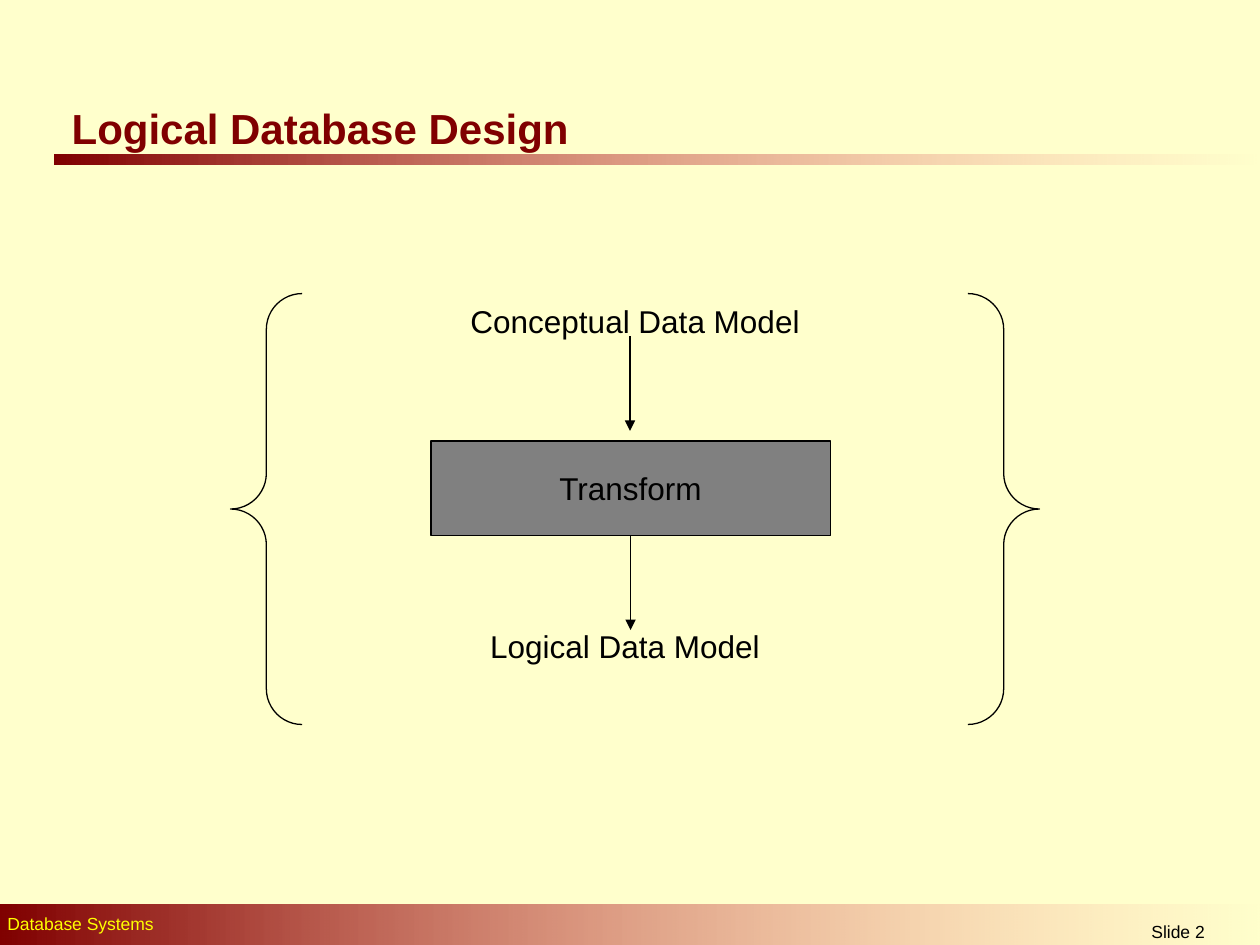
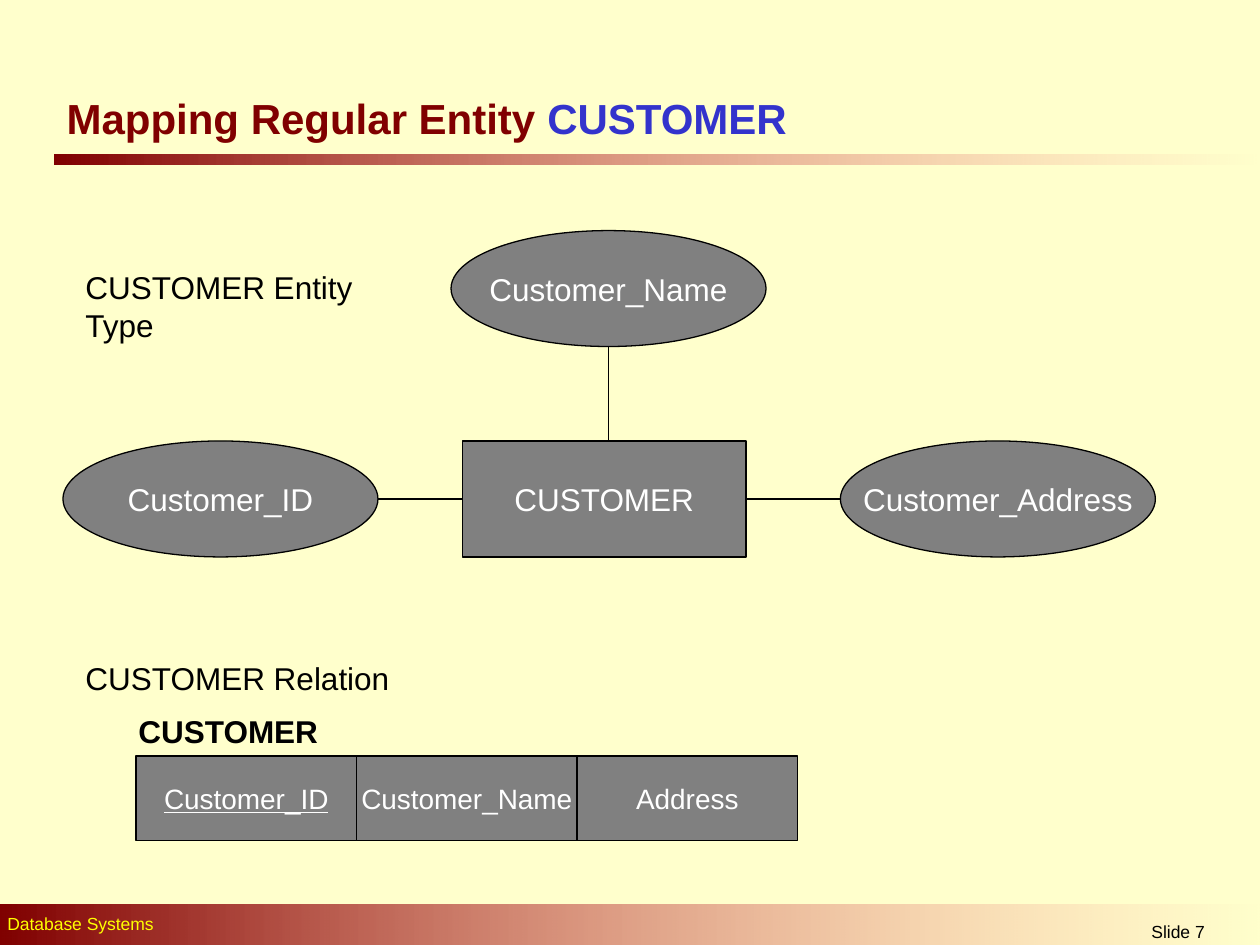
from lxml import etree
from pptx import Presentation
from pptx.dml.color import RGBColor
from pptx.enum.shapes import MSO_CONNECTOR, MSO_SHAPE as SHAPE
from pptx.enum.text import MSO_ANCHOR as ANCHOR, PP_ALIGN as ALIGN
from pptx.oxml.ns import qn
from pptx.util import Inches, Pt

COLORS = {
    "cream": "FFFFCC",
    "maroon": "800000",
    "rose": "FF8585",
    "yellow": "FFFF00",
    "blue": "3333CC",
    "gray": "808080",
    "black": "000000",
    "white": "FFFFFF",
}
FONT = "Arial"


def rgb(name):
    return RGBColor.from_string(COLORS[name])


def inches(*lengths):
    return [Inches(n) for n in lengths]


def set_font(font, size, color, bold=False, underline=False):
    font.name = FONT
    font.size = Pt(size)
    font.bold = bold
    font.underline = underline
    font.color.rgb = rgb(color)


def add_text(s, text, box, size=18, color="black", bold=False, align=ALIGN.LEFT):
    tf = s.shapes.add_textbox(*inches(*box)).text_frame
    tf.word_wrap = True
    p = tf.paragraphs[0]
    p.text = text
    p.alignment = align
    set_font(p.font, size, color, bold)
    return tf


def add_node(shapes, kind, text, box, size=18, color="white", underline=False):
    """Add a gray outlined shape with centred, unwrapped text."""
    sp = shapes.add_shape(kind, *inches(*box))
    sp.shadow.inherit = False
    sp.fill.solid()
    sp.fill.fore_color.rgb = rgb("gray")
    sp.line.color.rgb = rgb("black")
    sp.line.width = Pt(0.75)
    tf = sp.text_frame
    tf.word_wrap = False
    tf.vertical_anchor = ANCHOR.MIDDLE
    p = tf.paragraphs[0]
    p.text = text
    p.alignment = ALIGN.CENTER
    set_font(p.font, size, color, underline=underline)
    return sp


def add_line(s, start, end, arrow=False):
    line = s.shapes.add_connector(MSO_CONNECTOR.STRAIGHT, *inches(*start, *end))
    line.line.color.rgb = rgb("black")
    line.line.width = Pt(0.75)
    if arrow:
        ln = line.line._get_or_add_ln()
        etree.SubElement(ln, qn("a:tailEnd"), type="triangle")
    etree.SubElement(line._element.spPr, qn("a:effectLst"))
    return line


def add_fading_band(s, box):
    band = s.shapes.add_shape(SHAPE.RECTANGLE, *inches(*box))
    band.shadow.inherit = False
    band.line.fill.background()
    band.fill.gradient()
    band.fill.gradient_angle = 0
    for stop, color in zip(band.fill.gradient_stops, ("maroon", "rose")):
        stop.color.rgb = rgb(color)
    end_color = list(band._element.spPr.iter(qn("a:srgbClr")))[-1]
    etree.SubElement(end_color, qn("a:alpha"), val="0")


def add_base_slide(prs, number, title_parts, title_at):
    """Add a slide with background, bands, footers and a title of coloured parts."""
    s = prs.slides.add_slide(prs.slide_layouts[6])
    s.background.fill.solid()
    s.background.fill.fore_color.rgb = rgb("cream")
    add_fading_band(s, (0.43, 1.23, 9.57, 0.08))
    add_fading_band(s, (0, 7.18, 10.03, 0.35))
    add_text(s, "Database Systems", (-0.04, 7.2, 6.46, 0.27), 10, "yellow")
    add_text(s, f"Slide {number}", (8.31, 7.26, 2.08, 0.24), 10, align=ALIGN.CENTER)
    tf = add_text(s, "", (*title_at, 9.05, 0.51), 24, "maroon", True)
    tf.vertical_anchor = ANCHOR.MIDDLE
    for text, color in title_parts:
        r = tf.paragraphs[0].add_run()
        r.text = text
        set_font(r.font, 24, color, bold=True)
    return s


def add_transform_diagram(s, x, y, w, h):
    """Draw the two models and the step between them, inside a pair of braces."""
    step = add_node(s.shapes, SHAPE.RECTANGLE, "Transform",
                    (x + 1.59, y + 1.17, 3.17, 0.75), color="black")
    for text, dx, dy in (("Conceptual Data Model", 1.42, 0.02),
                         ("Logical Data Model", 1.34, 2.6)):
        add_text(s, text, (x + dx, y + dy, 3.58, 0.4), align=ALIGN.CENTER)
    axis = x + 3.17
    add_line(s, (axis, y + 0.34), (axis, y + 1.09), arrow=True)
    output = add_line(s, (axis, y + 1.92), (axis, y + 2.67), arrow=True)
    output.begin_connect(step, 2)
    output.end_x = output.begin_x

    braces = s.shapes.add_shape(SHAPE.DOUBLE_BRACE, *inches(x, y, w, h))
    braces.shadow.inherit = False
    braces.adjustments[0] = 0.083
    braces.fill.background()
    braces.line.color.rgb = rgb("black")
    braces.line.width = Pt(0.75)


def add_entity_diagram(s, x, y, w, h):
    """Draw the entity with its attributes to the left, above and to the right."""
    oval_w, node_h = 2.5, 0.92
    row_y = y + h - node_h
    mid_y = row_y + node_h / 2
    entity_x, entity_w = x + 3.17, 2.25
    entity = add_node(s.shapes, SHAPE.RECTANGLE, "CUSTOMER",
                      (entity_x, row_y, entity_w, node_h))
    for text, left, top in (("Customer_Name", x + 3.08, y),
                            ("Customer_ID", x, row_y),
                            ("Customer_Address", x + w - oval_w, row_y)):
        add_node(s.shapes, SHAPE.OVAL, text, (left, top, oval_w, node_h))
    name_x = x + 3.08 + oval_w / 2
    add_line(s, (name_x, row_y), (name_x, y + node_h))
    for side, start_x, end_x in ((3, entity_x + entity_w, x + w - oval_w),
                                 (1, entity_x, x + oval_w)):
        line = add_line(s, (start_x, mid_y), (end_x, mid_y))
        line.begin_connect(entity, side)


def add_relation(s, x, y, w, h):
    """Draw the relation's columns side by side, the key underlined."""
    columns = ("Customer_ID", "Customer_Name", "Address")
    col_w = w / len(columns)
    group = s.shapes.add_group_shape()
    for i, column in enumerate(columns):
        add_node(group.shapes, SHAPE.RECTANGLE, column,
                 (x + i * col_w, y, col_w, h), size=16, underline=i == 0)
    add_text(s, "CUSTOMER", (x - 0.08, y - 0.4, 2.42, 0.4), bold=True)


def main():
    prs = Presentation()
    prs.slide_width, prs.slide_height = inches(10, 7.5)

    s = add_base_slide(prs, 2, [("Logical Database Design", "maroon")], (0.47, 0.76))
    add_transform_diagram(s, 1.83, 2.33, 6.42, 3.42)

    s = add_base_slide(prs, 7, [("Mapping Regular Entity ", "maroon"),
                                ("CUSTOMER", "blue")], (0.43, 0.68))
    add_relation(s, 1.08, 6, 5.25, 0.67)
    add_entity_diagram(s, 0.5, 1.83, 8.67, 2.59)
    add_text(s, "CUSTOMER Entity Type", (0.58, 2.08, 2.58, 0.7))
    add_text(s, "CUSTOMER Relation", (0.58, 5.18, 2.92, 0.4))

    prs.save("out.pptx")


if __name__ == "__main__":
    main()
